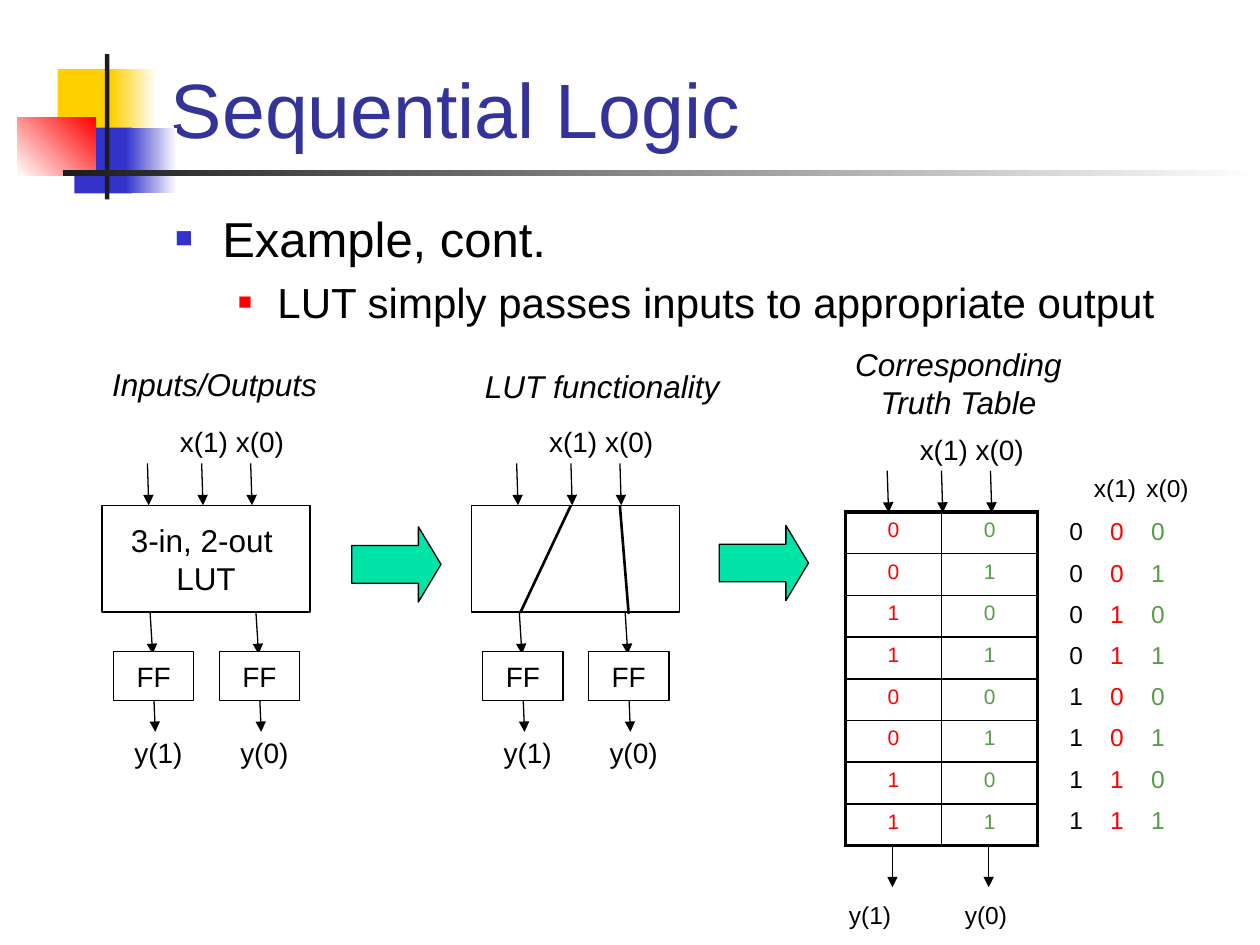
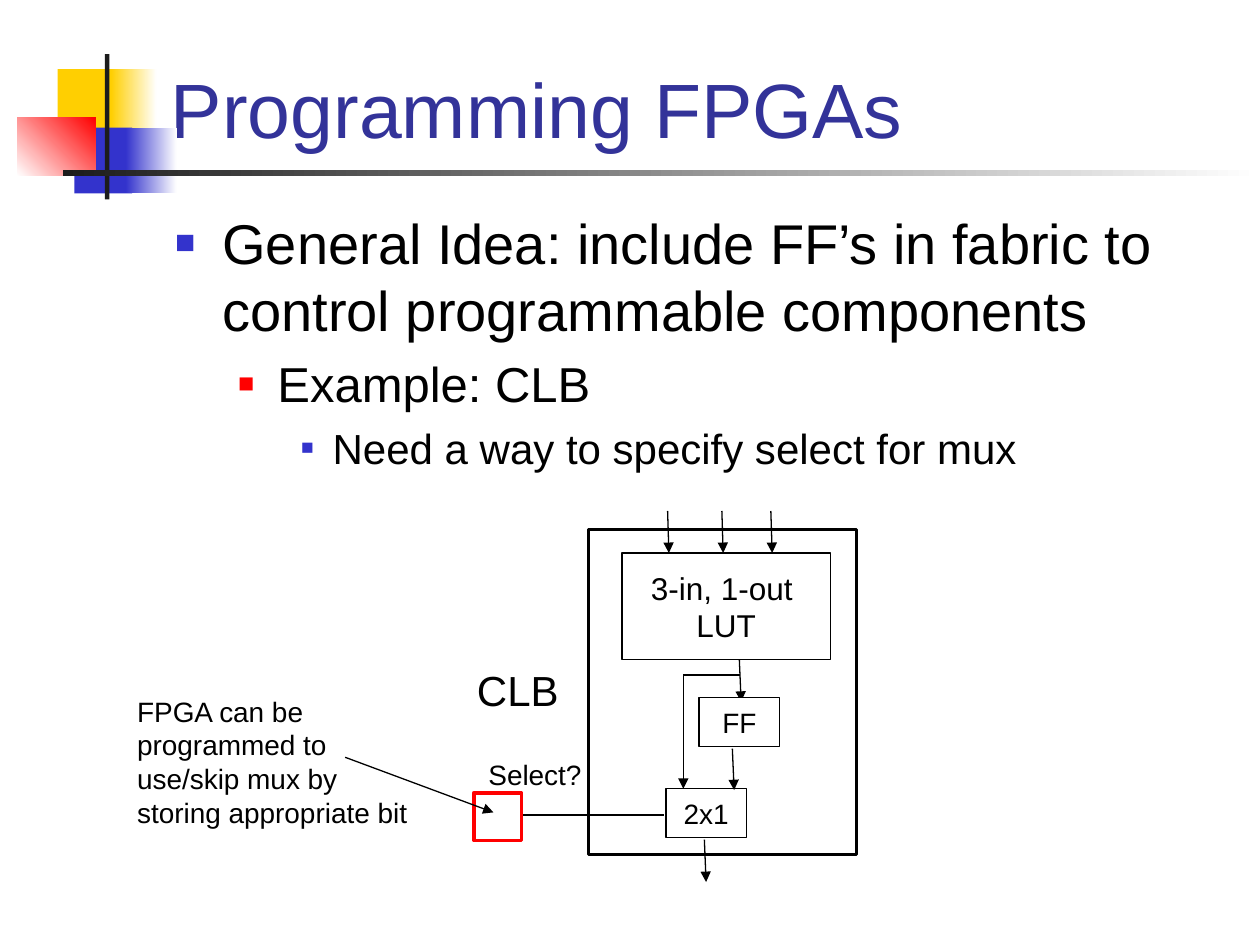
from pptx import Presentation
from pptx.dml.color import RGBColor
from pptx.enum.shapes import MSO_CONNECTOR, MSO_SHAPE
from pptx.enum.text import MSO_ANCHOR, MSO_AUTO_SIZE, PP_ALIGN
from pptx.oxml.ns import qn
from pptx.util import Pt
from lxml.etree import SubElement

FONT = "Arial"
COLORS = {
    "black": "000000", "white": "FFFFFF", "dark": "1C1C1C", "navy": "333399",
    "blue": "3333CC", "gold": "FFCF01", "red": "FF0000", "green": "589C48",
    "mint": "00E4A8",
}
LEVELS = [(27, 27, "blue", 60), (58.5, 22.5, "red", 55), (90, 18, "blue", 50)]
BITS = ["000", "001", "010", "011", "100", "101", "110", "111"]
LUT_W, LUT_H = 119, 61
BOX_W, BOX_H = 46, 28


def rgb(name):
    return RGBColor.from_string(COLORS[name])


def style(para, size, color="black", italic=False, align=PP_ALIGN.LEFT):
    para.alignment = align
    for run in para.runs:
        font = run.font
        font.name, font.size, font.italic = FONT, Pt(size), italic
        font.color.rgb = rgb(color)


def add_rect(slide, x, y, w, h, fill=None, line=None, width=0.75, kind=MSO_SHAPE.RECTANGLE):
    shape = slide.shapes.add_shape(kind, Pt(x), Pt(y), Pt(w), Pt(h))
    shape.shadow.inherit = False
    if fill:
        shape.fill.solid()
        shape.fill.fore_color.rgb = rgb(fill)
    else:
        shape.fill.background()
    if line:
        shape.line.color.rgb = rgb(line)
        shape.line.width = Pt(width)
    else:
        shape.line.fill.background()
    return shape


def add_fade(slide, x, y, w, h, start, end, angle=0):
    fill = add_rect(slide, x, y, w, h).fill
    fill.gradient()
    fill.gradient_angle = angle
    for stop, color in zip(fill.gradient_stops, (start, end)):
        stop.color.rgb = rgb(color)


def add_box(slide, x, y, w, h, text, size, fill=None):
    frame = add_rect(slide, x, y, w, h, fill, "black").text_frame
    frame.word_wrap = False
    frame.vertical_anchor = MSO_ANCHOR.MIDDLE
    frame.text = text
    for para in frame.paragraphs:
        style(para, size, align=PP_ALIGN.CENTER)


def add_text(slide, x, y, w, h, text, size, **look):
    frame = slide.shapes.add_textbox(Pt(x), Pt(y), Pt(w), Pt(h)).text_frame
    frame.word_wrap = True
    frame.text = text
    style(frame.paragraphs[0], size, **look)
    return frame


def add_line(slide, x1, y1, x2, y2, width=0.75, arrow=False):
    line = slide.shapes.add_connector(
        MSO_CONNECTOR.STRAIGHT, Pt(x1), Pt(y1), Pt(x2), Pt(y2))
    line.line.color.rgb = rgb("black")
    line.line.width = Pt(width)
    props = line._element.spPr
    if arrow:
        SubElement(props.find(qn("a:ln")), qn("a:tailEnd"), type="triangle")
    SubElement(props, qn("a:effectLst"))


def add_arrow(slide, x1, y1, x2, y2):
    add_line(slide, x1, y1, x2, y2, arrow=True)


def add_block(slide, x, y):
    shape = add_rect(slide, x, y, 51, 43, "mint", "black", kind=MSO_SHAPE.RIGHT_ARROW)
    shape.adjustments[0], shape.adjustments[1] = 0.5, 0.3


def add_decor(slide):
    add_rect(slide, 33, 39.5, 34.5, 37.5, "gold")
    add_fade(slide, 63.5, 39.5, 26, 37.5, "gold", "white")
    add_rect(slide, 42.5, 73, 33, 37.5, "blue")
    add_fade(slide, 72, 73, 29, 37.5, "blue", "white")
    add_fade(slide, 10, 67, 44.5, 33.5, "white", "red", 45)
    add_rect(slide, 60, 31, 2.5, 83, "dark")
    add_fade(slide, 36, 97.25, 684, 3.5, "dark", "white")


def add_title(slide, text):
    title = slide.shapes.title
    title.left, title.top, title.width, title.height = Pt(90.5), Pt(1.5), Pt(613.5), Pt(90)
    frame = title.text_frame
    frame.text = text
    frame.auto_size = MSO_AUTO_SIZE.NONE
    frame.vertical_anchor = MSO_ANCHOR.BOTTOM
    style(frame.paragraphs[0], 44, "navy")


def add_list(slide, items):
    frame = add_text(slide, 93, 115.5, 612, 368, "", 12)
    for level, (text, size) in enumerate(items):
        para = frame.add_paragraph() if level else frame.paragraphs[0]
        left, hang, color, scale = LEVELS[level]
        para.text, para.level = text, level
        props = para._p.get_or_add_pPr()
        props.set("marL", str(Pt(left)))
        props.set("indent", str(-Pt(hang)))
        SubElement(SubElement(props, qn("a:buClr")), qn("a:srgbClr"), val=COLORS[color])
        SubElement(props, qn("a:buSzPct"), val=str(scale * 1000))
        SubElement(props, qn("a:buFont"), typeface=FONT)
        SubElement(props, qn("a:buChar"), char="■")
        if level:
            para.space_before = Pt(round(size * 0.23, 1))
        style(para, size)


def add_slide(deck, title, items):
    slide = deck.slides.add_slide(deck.slide_layouts[5])
    add_decor(slide)
    add_title(slide, title)
    add_list(slide, items)
    return slide


def add_inputs(slide, x, y):
    for dx in (26, 57, 85):
        add_arrow(slide, x + dx, y - 24, x + dx + 0.75, y)


def add_names(slide, x, y):
    for i, name in enumerate(("x(1)", "x(0)")):
        add_text(slide, x + 37.5 + 32 * i, y - 49.5, 50, 26.5, name, 16)


def add_lut(slide, x, y, text):
    add_box(slide, x, y, LUT_W, LUT_H, text, 18)
    add_inputs(slide, x, y)


def add_stage(slide, x, y, text):
    add_lut(slide, x, y, text)
    add_names(slide, x, y)
    for i, name in enumerate(("y(1)", "y(0)")):
        left = x + 60.5 * i
        add_arrow(slide, left + 27.5, y + LUT_H, left + 29, y + 85)
        add_box(slide, left + 6.5, y + 83.5, BOX_W, BOX_H, "FF", 16, "white")
        add_arrow(slide, left + 29.75, y + 111.5, left + 30.5, y + 129.5)
        add_text(slide, left + 11.5, y + 128.25, 50, 26.5, name, 16)


def add_edges(cell, thick):
    props = cell._tc.get_or_add_tcPr()
    for side in "LRTB":
        width = Pt(2.25 if side in thick else 1)
        edge = SubElement(props, qn("a:ln" + side), w=str(width))
        fill = SubElement(edge, qn("a:solidFill"))
        SubElement(fill, qn("a:srgbClr"), val=COLORS["black"])


def add_table(slide, x, y):
    table = slide.shapes.add_table(
        len(BITS), 2, Pt(x), Pt(y), Pt(110), Pt(190.8)).table
    table.first_row = table.horz_banding = False
    for row, bits in enumerate(BITS):
        table.rows[row].height = Pt(23.85)
        for col, color in enumerate(("red", "green")):
            cell = table.cell(row, col)
            cell.text = bits[col + 1]
            style(cell.text_frame.paragraphs[0], 12, color, align=PP_ALIGN.CENTER)
            thick = "LR"[col]
            if row == 0:
                thick += "T"
            if row == len(BITS) - 1:
                thick += "B"
            add_edges(cell, thick)
            cell.fill.background()


def add_bits(slide, x, y, bits):
    para = add_text(slide, x, y, 75, 24, "", 14).paragraphs[0]
    tabs = SubElement(para._p.get_or_add_pPr(), qn("a:tabLst"))
    for stop in (23.35, 46.7):
        SubElement(tabs, qn("a:tab"), pos=str(Pt(stop)), algn="l")
    for i, (bit, color) in enumerate(zip(bits, ("black", "red", "green"))):
        run = para.add_run()
        run.text = "\t" + bit if i else bit
        run.font.name, run.font.size = FONT, Pt(14)
        run.font.color.rgb = rgb(color)


def build_logic(deck):
    slide = add_slide(deck, "Sequential Logic", [
        ("Example, cont.", 28),
        ("LUT simply passes inputs to appropriate output", 24)])
    left, mid, top = 58.25, 269.25, 288.75
    add_stage(slide, left, top, "3-in, 2-out \nLUT")
    add_stage(slide, mid, top, "")
    add_line(slide, mid + 57, top, mid + 28, top + LUT_H + 0.5, 1.5)
    add_line(slide, mid + 85, top + 0.5, mid + 90, top + LUT_H + 1, 1.5)
    add_table(slide, 483, 292.5)
    add_inputs(slide, 481, 293)
    add_names(slide, 481, 293)
    for x, name, label in ((510, "y(1)", 478), (565, "y(0)", 544.25)):
        add_arrow(slide, x, 483.75, x, 507)
        add_text(slide, label, 510.5, 55, 24, name, 14)
    for i, bits in enumerate(BITS):
        add_bits(slide, 604, 291.5 + 23.55 * i, bits)
    for x, name in ((618, "x(1)"), (648, "x(0)")):
        add_text(slide, x, 267, 50, 24, name, 14)
    add_text(slide, 57, 205, 133, 29, "Inputs/Outputs", 18, italic=True)
    add_text(slide, 270, 206, 158, 29, "LUT functionality", 18, italic=True)
    add_text(slide, 468.75, 193.75, 158, 50, "Corresponding Truth Table", 18,
             italic=True, align=PP_ALIGN.CENTER)
    add_block(slide, 201, 301)
    add_block(slide, 411, 300.25)


def build_fabric(deck):
    slide = add_slide(deck, "Programming FPGAs", [
        ("General Idea: include FF’s in fabric to control programmable components", 32),
        ("Example: CLB", 28),
        ("Need a way to specify select for mux", 24)])
    add_lut(slide, 355.5, 316, "3-in, 1-out \nLUT")
    add_arrow(slide, 422.5, 377, 423.5, 401)
    add_box(slide, 399.5, 398.75, BOX_W, BOX_H, "FF", 16, "white")
    add_box(slide, 380.5, 450.75, BOX_W, BOX_H, "2x1", 16, "white")
    add_line(slide, 390.5, 385.75, 422.75, 385.75)
    add_arrow(slide, 390.5, 385.75, 390.5, 450.75)
    add_arrow(slide, 418.5, 427.75, 419.5, 451.5)
    add_arrow(slide, 402.5, 479.75, 403.5, 504)
    add_rect(slide, 336.25, 302.5, 153, 186, line="black", width=1.75)
    add_text(slide, 265.5, 376, 83, 36, "CLB", 24)
    add_line(slide, 299, 465.75, 379.5, 465.75)
    add_text(slide, 272, 429.25, 70, 26.5, "Select?", 16)
    add_rect(slide, 270.75, 453, 27.25, 27.25, line="red", width=2)
    add_text(slide, 71.25, 393.25, 173, 84,
             "FPGA can be programmed to use/skip mux by storing appropriate bit", 16)
    add_arrow(slide, 197.25, 432.75, 282, 464.25)


def main():
    deck = Presentation()
    deck.slide_width, deck.slide_height = Pt(720), Pt(540)
    build_logic(deck)
    build_fabric(deck)
    deck.save("out.pptx")


if __name__ == "__main__":
    main()
